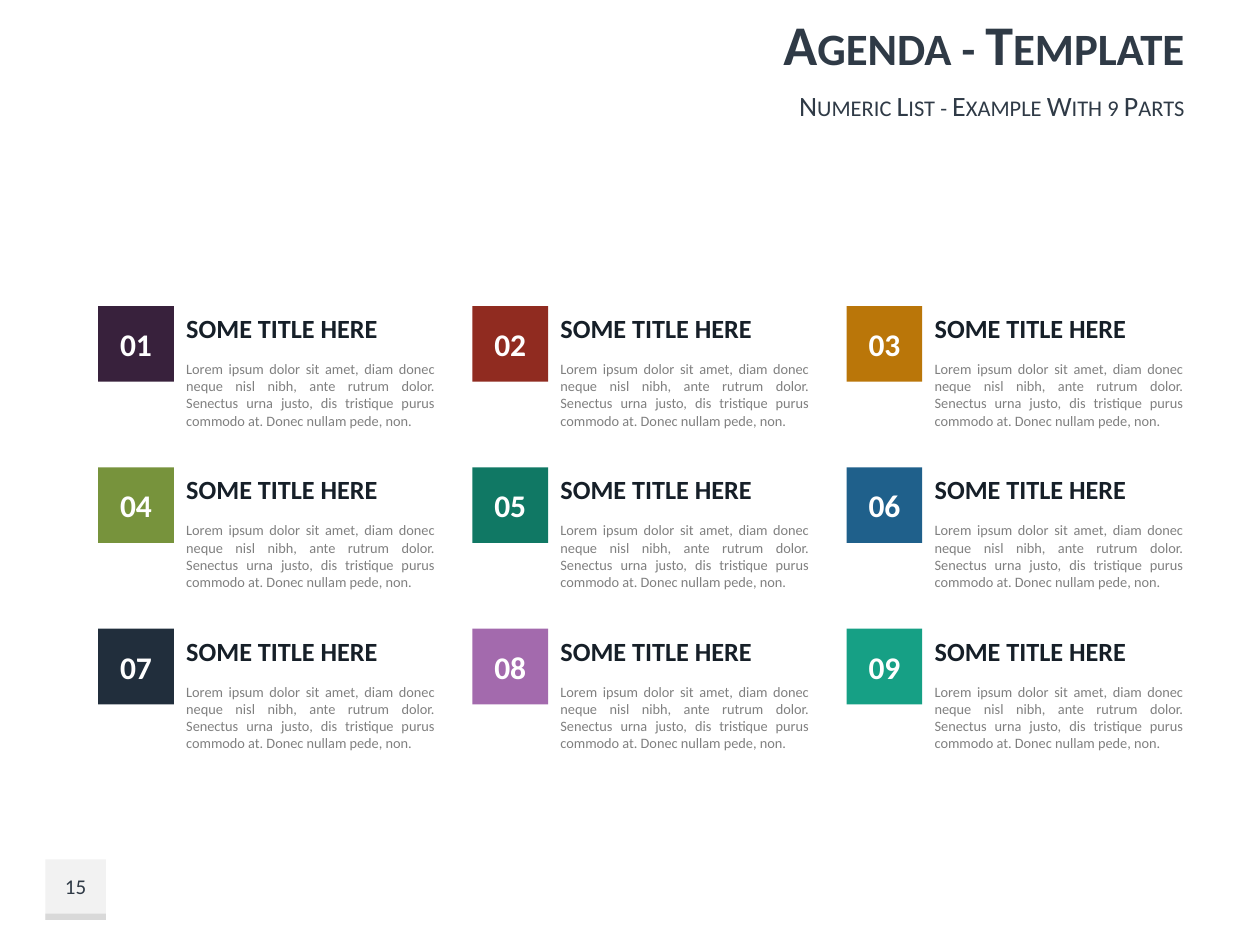
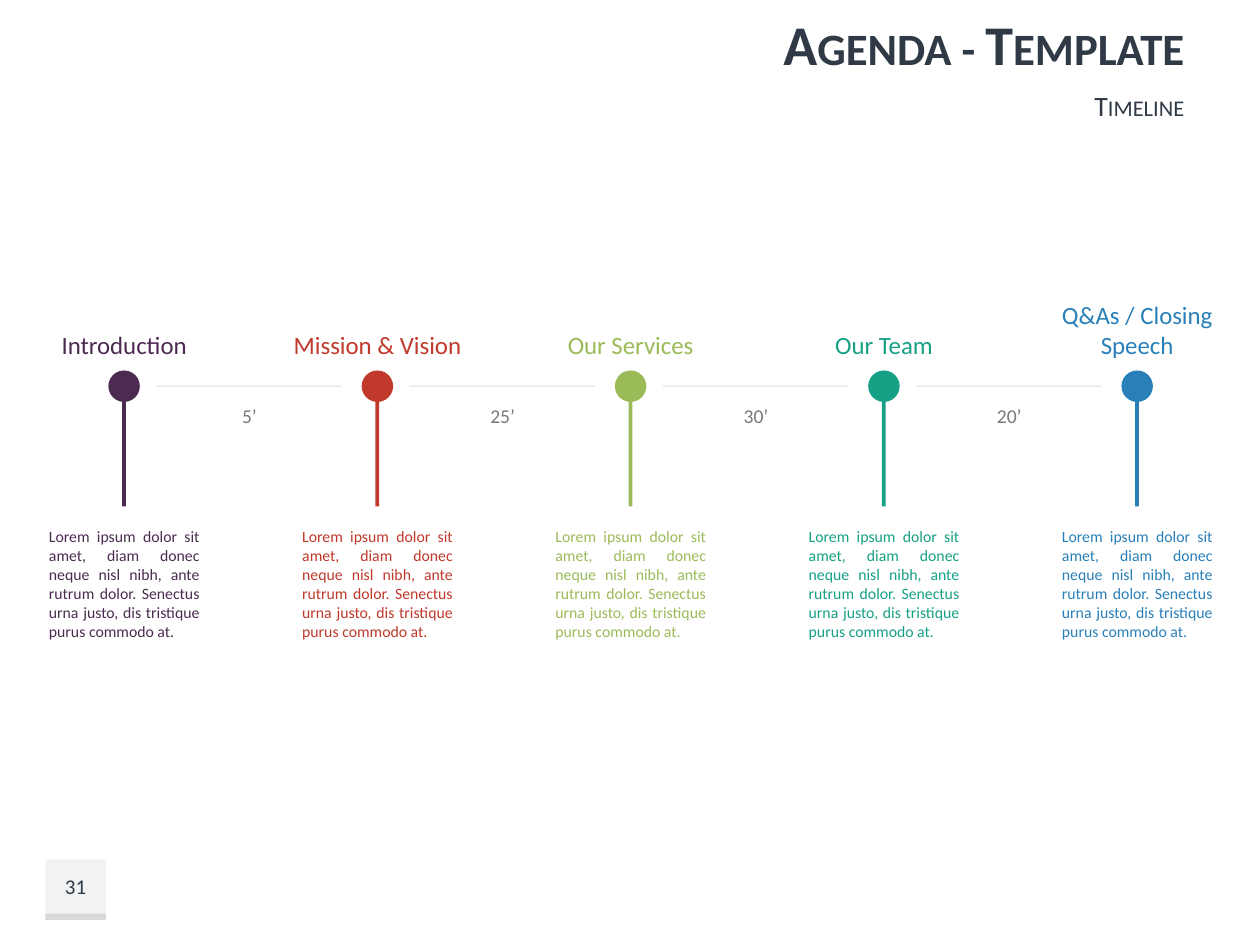
from dataclasses import dataclass

from pptx import Presentation
from pptx import util as u
from pptx.dml.color import RGBColor
from pptx.enum import shapes, text

PX = 9144  # EMU in one px, 100 px to the inch
FONT = "Calibri"
INK, DARK, WHITE = "2F3A46", "161F28", "FFFFFF"
GREY, DURATION_GREY, LINE_GREY = "808080", "797979", "DBDBDB"
BADGE, BADGE_EDGE = "F2F2F2", "D9D9D9"

LEFT, CENTER = text.PP_ALIGN.LEFT, text.PP_ALIGN.CENTER
RIGHT, JUSTIFY = text.PP_ALIGN.RIGHT, text.PP_ALIGN.JUSTIFY
TOP, MIDDLE, BOTTOM = (text.MSO_ANCHOR.TOP, text.MSO_ANCHOR.MIDDLE,
                       text.MSO_ANCHOR.BOTTOM)
RECT, OVAL = shapes.MSO_SHAPE.RECTANGLE, shapes.MSO_SHAPE.OVAL

LOREM = ("Lorem ipsum dolor sit amet, diam donec neque nisl nibh, ante rutrum "
         "dolor. Senectus urna justo, dis tristique purus commodo at.")


@dataclass(frozen=True)
class Box:
    x: int
    y: int
    w: int
    h: int

    def emu(self) -> list[u.Emu]:
        return [u.Emu(v * PX) for v in (self.x, self.y, self.w, self.h)]


@dataclass(frozen=True)
class Style:
    size: float
    color: str
    align: text.PP_ALIGN = LEFT
    anchor: text.MSO_ANCHOR = TOP
    bold: bool = False
    small_caps: bool = False


@dataclass(frozen=True)
class Stop:
    heading: str
    color: str
    minutes: str = ""  # time until the next stop
    lines: int = 1


TITLE = Style(32, INK, RIGHT, MIDDLE, bold=True, small_caps=True)
SUBTITLE = Style(16, INK, RIGHT, MIDDLE, small_caps=True)
PAGE_NUMBER = Style(12, INK, CENTER, MIDDLE)
PART_NUMBER = Style(18, WHITE, CENTER, MIDDLE, bold=True)
PART_TITLE = Style(15, DARK, bold=True)
PART_BODY = Style(8.2, GREY, JUSTIFY)
MINUTES = Style(11.2, DURATION_GREY, CENTER)

PART_COLORS = ("38213C", "902B20", "BA7609",
               "77933C", "107864", "1F608B",
               "212E3C", "A36AAD", "16A085")
STOPS = (
    Stop("Introduction", "4B2C50", "5’"),
    Stop("Mission & Vision", "C0392B", "25’"),
    Stop("Our Services", "9BBB59", "30’"),
    Stop("Our Team", "16A085", "20’"),
    Stop("Q&As / Closing Speech", "2980B9", lines=2),
)


def rgb(color: str) -> RGBColor:
    return RGBColor.from_string(color)


def write(sp, words: str, style: Style) -> None:
    tf = sp.text_frame
    tf.word_wrap = True
    tf.auto_size = text.MSO_AUTO_SIZE.NONE
    tf.vertical_anchor = style.anchor
    p = tf.paragraphs[0]
    p.text = words
    p.alignment = style.align
    p.font.name = FONT
    p.font.size = u.Pt(style.size)
    p.font.bold = style.bold
    p.font.color.rgb = rgb(style.color)
    if style.small_caps:
        p._p.get_or_add_pPr().get_or_add_defRPr().set("cap", "small")


def add_text(s, box: Box, words: str, style: Style) -> None:
    write(s.shapes.add_textbox(*box.emu()), words, style)


def add_block(s, box: Box, color: str, kind=RECT):
    """Add a flat shape without outline or shadow."""
    sp = s.shapes.add_shape(kind, *box.emu())
    sp.shadow.inherit = False
    sp.fill.solid()
    sp.fill.fore_color.rgb = rgb(color)
    sp.line.fill.background()
    return sp


def fill_placeholder(sp, box: Box, words: str, style: Style) -> None:
    sp.left, sp.top, sp.width, sp.height = box.emu()
    write(sp, words, style)


def add_slide(prs, subtitle: str, number: int):
    """Add a slide with the shared title, subtitle and page badge."""
    s = prs.slides.add_slide(prs.slide_layouts[0])
    fill_placeholder(s.shapes.title, Box(319, 0, 631, 68),
                     "Agenda - Template", TITLE)
    fill_placeholder(s.placeholders[1], Box(319, 68, 631, 31),
                     subtitle, SUBTITLE)
    add_block(s, Box(36, 682, 48, 48), BADGE)
    add_block(s, Box(36, 725, 48, 5), BADGE_EDGE)
    add_text(s, Box(36, 682, 48, 43), str(number), PAGE_NUMBER)
    return s


def add_part(s, index: int, color: str) -> None:
    row, col = divmod(index, 3)
    x, y = 78 + 297 * col, 243 + 128 * row
    square = add_block(s, Box(x, y, 60, 60), color)
    write(square, f"{index + 1:02}", PART_NUMBER)
    add_text(s, Box(x + 60, y, 217, 35), "SOME TITLE HERE", PART_TITLE)
    add_text(s, Box(x + 60, y + 38, 217, 66),
             f"{LOREM} Donec nullam pede, non.", PART_BODY)


def add_stop(s, index: int, stop: Stop) -> None:
    center = 99 + 201 * index
    add_block(s, Box(center - 13, 294, 25, 25), stop.color, OVAL)
    add_block(s, Box(center - 2, 307, 3, 95), stop.color)
    height = 10 + 24 * stop.lines
    add_text(s, Box(center - 80, 290 - height, 159, height), stop.heading,
             Style(14.2, stop.color, CENTER, BOTTOM))
    add_text(s, Box(center - 70, 413, 139, 101), LOREM,
             Style(9, stop.color, JUSTIFY))
    if stop.minutes:
        add_block(s, Box(center + 25, 306, 147, 1), LINE_GREY)
        add_text(s, Box(center + 21, 316, 156, 29), stop.minutes, MINUTES)


def main() -> None:
    prs = Presentation()
    prs.slide_width, prs.slide_height = u.Emu(1000 * PX), u.Emu(750 * PX)

    agenda = add_slide(prs, "Numeric List - Example With 9 Parts", 15)
    for i, color in enumerate(PART_COLORS):
        add_part(agenda, i, color)

    timeline = add_slide(prs, "Timeline", 31)
    for i, stop in enumerate(STOPS):
        add_stop(timeline, i, stop)

    prs.save("out.pptx")


if __name__ == "__main__":
    main()
